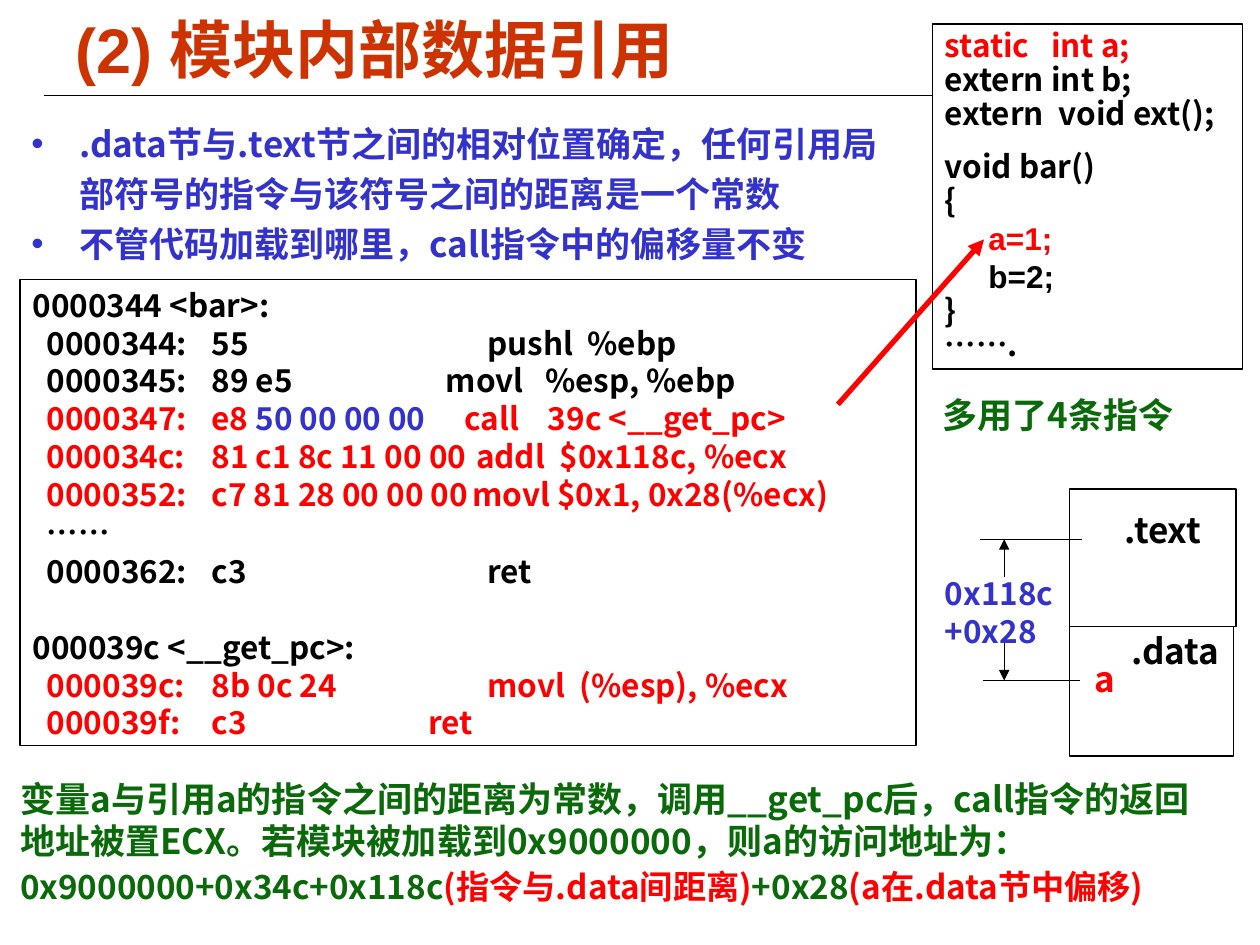
from dataclasses import dataclass

from lxml.etree import SubElement
from pptx import Presentation
from pptx.dml.color import RGBColor
from pptx.enum.shapes import MSO_CONNECTOR as Connector, MSO_SHAPE as Shape
from pptx.enum.text import MSO_ANCHOR as Anchor
from pptx.oxml.ns import qn
from pptx.util import Inches, Pt

BLACK = RGBColor(0x00, 0x00, 0x00)
WHITE = RGBColor(0xFF, 0xFF, 0xFF)
RED = RGBColor(0xFF, 0x00, 0x00)
BLUE = RGBColor(0x33, 0x33, 0xCC)
GREEN = RGBColor(0x0A, 0x6A, 0x0A)
ORANGE = RGBColor(0xCC, 0x33, 0x00)
SANS, CJK = "Arial", "Noto Sans CJK SC"
COLUMNS, ROWS = 100, 75
CELL = Inches(0.1)


@dataclass
class Box:
    """A rectangle measured in grid columns and rows."""

    left: float
    top: float
    width: float
    height: float

    def inner(self, left, top, width, height):
        """Return a box placed relative to this one."""
        return Box(self.left + left, self.top + top, width, height)

    def lengths(self):
        """Return the rectangle in slide units."""
        return [round(n * CELL) for n in (self.left, self.top, self.width, self.height)]


def add_paragraph(frame, runs, size, leading, font=CJK, before=0, tabs=(), bullet=False):
    """Append one bold paragraph of (text, colour) runs."""
    first = not frame.paragraphs[0].runs
    paragraph = frame.paragraphs[0] if first else frame.add_paragraph()
    paragraph.line_spacing = Pt(leading)
    paragraph.space_before = Pt(before)
    properties = paragraph._p.get_or_add_pPr()
    properties.set("algn", "l")
    if bullet:
        properties.set("marL", str(Inches(0.38)))
        properties.set("indent", str(-Inches(0.38)))
        SubElement(properties, qn("a:buFont"), typeface=SANS)
        SubElement(properties, qn("a:buChar"), char="•")
    if tabs:
        stops = SubElement(properties, qn("a:tabLst"))
        for stop in tabs:
            SubElement(stops, qn("a:tab"), pos=str(round(stop * CELL)), algn="l")
    paragraph.font.name = font
    paragraph.font.size = Pt(size)
    paragraph.font.bold = True
    paragraph.font.color.rgb = runs[0][1]
    SubElement(properties.find(qn("a:defRPr")), qn("a:ea"), typeface=CJK)
    for text, color in runs:
        run = paragraph.add_run()
        run.text = text
        if color != runs[0][1]:
            run.font.color.rgb = color


def add_text(slide, box, wrap=True, inset=1):
    """Add an empty text box and return its frame."""
    frame = slide.shapes.add_textbox(*box.lengths()).text_frame
    frame.word_wrap = wrap
    frame.margin_left = frame.margin_right = round(inset * CELL)
    return frame


def add_panel(slide, box, filled=True):
    """Add a thinly outlined rectangle and return its frame."""
    panel = slide.shapes.add_shape(Shape.RECTANGLE, *box.lengths())
    panel.shadow.inherit = False
    if filled:
        panel.fill.solid()
        panel.fill.fore_color.rgb = WHITE
    else:
        panel.fill.background()
    panel.line.color.rgb = BLACK
    panel.line.width = Pt(0.75)
    panel.text_frame.vertical_anchor = Anchor.TOP
    panel.text_frame.word_wrap = True
    return panel.text_frame


def add_line(slide, box, color=BLACK, width=0.75, arrow=False):
    """Draw a line along the diagonal of a box, with an optional arrowhead."""
    left, top, across, down = box.lengths()
    line = slide.shapes.add_connector(
        Connector.STRAIGHT, left, top, left + across, top + down)
    line.line.color.rgb = color
    line.line.width = Pt(width)
    properties = line._element.spPr
    if arrow:
        SubElement(properties.find(qn("a:ln")), qn("a:tailEnd"), type="triangle")
    SubElement(properties, qn("a:effectLst"))


def add_label(slide, box, text, color, wrap=False):
    """Add a one-colour label."""
    add_paragraph(add_text(slide, box, wrap), [(text, color)], 20, 24)


def build_heading(slide, box):
    """Place the title and the rule below it."""
    add_line(slide, box.inner(-1.5, 6.7, 93, 0))
    frame = add_text(slide, box)
    frame.vertical_anchor = Anchor.MIDDLE
    add_paragraph(frame, [("(2) 模块内部数据引用", ORANGE)], 36, 42, SANS)


def build_bullets(slide, box):
    """Place the two bullet points."""
    frame = add_text(slide, box)
    for text in (".data节与.text节之间的相对位置确定，任何引用局部符号的指令与该符号之间的距离是一个常数",
                 "不管代码加载到哪里，call指令中的偏移量不变"):
        add_paragraph(frame, [(text, BLUE)], 20, 28.6, bullet=True)


def build_source_code(slide, box):
    """Place the panel of C code."""
    frame = add_panel(slide, box)
    for text, color, font, before in (
            ("static   int a;", RED, CJK, 0),
            ("extern int b;", BLACK, CJK, 0),
            ("extern  void ext();", BLACK, CJK, 0),
            ("void bar()", BLACK, CJK, 11),
            ("{", BLACK, CJK, 0),
            ("     a=1;", RED, SANS, 0),
            ("     b=2;", BLACK, SANS, 0),
            ("}", BLACK, CJK, 0),
            ("…….", BLACK, CJK, 0)):
        leading = 21.6 if font == SANS else 19.4
        add_paragraph(frame, [(text, color)], 18, leading, font, before)


def build_listing(slide, box):
    """Place the disassembly, with bytes and mnemonics at tab stops."""
    frame = add_panel(slide, box, filled=False)
    for runs, mnemonic, before in (
            ([("0000344 <bar>:", BLACK)], 0, 0),
            ([("  0000344:\t55\tpushl  %ebp", BLACK)], 36.1, 0),
            ([("  0000345:\t89 e5\tmovl   %esp, %ebp", BLACK)], 32.8, 0),
            ([("  0000347:\te8 ", RED), ("50 00 00 00", BLUE),
              ("\tcall    39c <__get_pc>", RED)], 34.3, 0),
            ([("  000034c:\t81 c1 8c 11 00 00\taddl  $0x118c, %ecx", RED)], 35.2, 0),
            ([("  0000352:\tc7 81 28 00 00 00\tmovl $0x1, 0x28(%ecx)", RED)], 34.9, 0),
            ([("  ……", BLACK)], 0, 0),
            ([("  0000362:\tc3\tret", BLACK)], 36.1, 1),
            ([("000039c <__get_pc>:", BLACK)], 0, 21.6),
            ([("  000039c:\t8b 0c 24\tmovl  (%esp), %ecx", RED)], 36.1, 0),
            ([("  000039f:\tc3\tret", RED)], 31.4, 0)):
        tabs = (14.2, mnemonic) if mnemonic else ()
        add_paragraph(frame, runs, 18, 21.6, before=before, tabs=tabs)


def build_conclusion(slide, box):
    """Place the closing explanation and the address sum."""
    frame = add_text(slide, box, inset=0)
    add_paragraph(frame, [(
        "变量a与引用a的指令之间的距离为常数，调用__get_pc后，call指令的返回地址被置ECX。"
        "若模块被加载到0x9000000，则a的访问地址为：", GREEN)], 20, 24)
    add_paragraph(frame, [
        ("0x9000000+0x34c+0x118c", GREEN), ("(指令与.data间距离)", RED),
        ("+0x28", GREEN), ("(a在.data节中偏移)", RED)], 19, 23, before=2.4)


def build_memory_diagram(slide, box):
    """Place the two sections and the distance measured between them."""
    add_panel(slide, box.inner(10.9, 0, 13.2, 10.9))
    add_panel(slide, box.inner(10.9, 10.9, 13, 10.3))
    add_label(slide, box.inner(14.3, 1.1, 9.1, 4.4), ".text", BLACK)
    add_label(slide, box.inner(14.8, 10.7, 9.1, 4.4), ".data", BLACK)
    add_label(slide, box.inner(11.9, 12.9, 5.9, 4.4), "a", RED)
    add_line(slide, box.inner(3.8, 4, 8.1, 0))
    add_line(slide, box.inner(4, 15.2, 7.7, 0))
    add_line(slide, box.inner(5.7, 7, 0, -3), arrow=True)
    add_line(slide, box.inner(5.7, 11.8, 0, 3.4), arrow=True)
    frame = add_text(slide, box.inner(0, 6.3, 12.1, 7))
    for text in ("0x118c", "+0x28"):
        add_paragraph(frame, [(text, BLUE)], 18, 21.6)


def main():
    """Build and save the slide."""
    presentation = Presentation()
    presentation.slide_width = COLUMNS * CELL
    presentation.slide_height = ROWS * CELL
    slide = presentation.slides.add_slide(presentation.slide_layouts[6])
    build_heading(slide, Box(5, 0.9, 90, 6.1))
    build_bullets(slide, Box(1.5, 8.6, 70.9, 12.1))
    build_source_code(slide, Box(74, 1.9, 24.6, 27.4))
    build_listing(slide, Box(1.6, 22.2, 71.1, 37))
    build_conclusion(slide, Box(1.6, 61.2, 95.1, 11.2))
    build_memory_diagram(slide, Box(74, 38.8, 24.1, 21.2))
    add_line(slide, Box(66.5, 32.1, 11.6, -13.1), RED, 3, arrow=True)
    add_label(slide, Box(73.8, 30.7, 20.9, 7.7), "多用了4条指令", GREEN, wrap=True)
    presentation.save("out.pptx")


if __name__ == "__main__":
    main()
